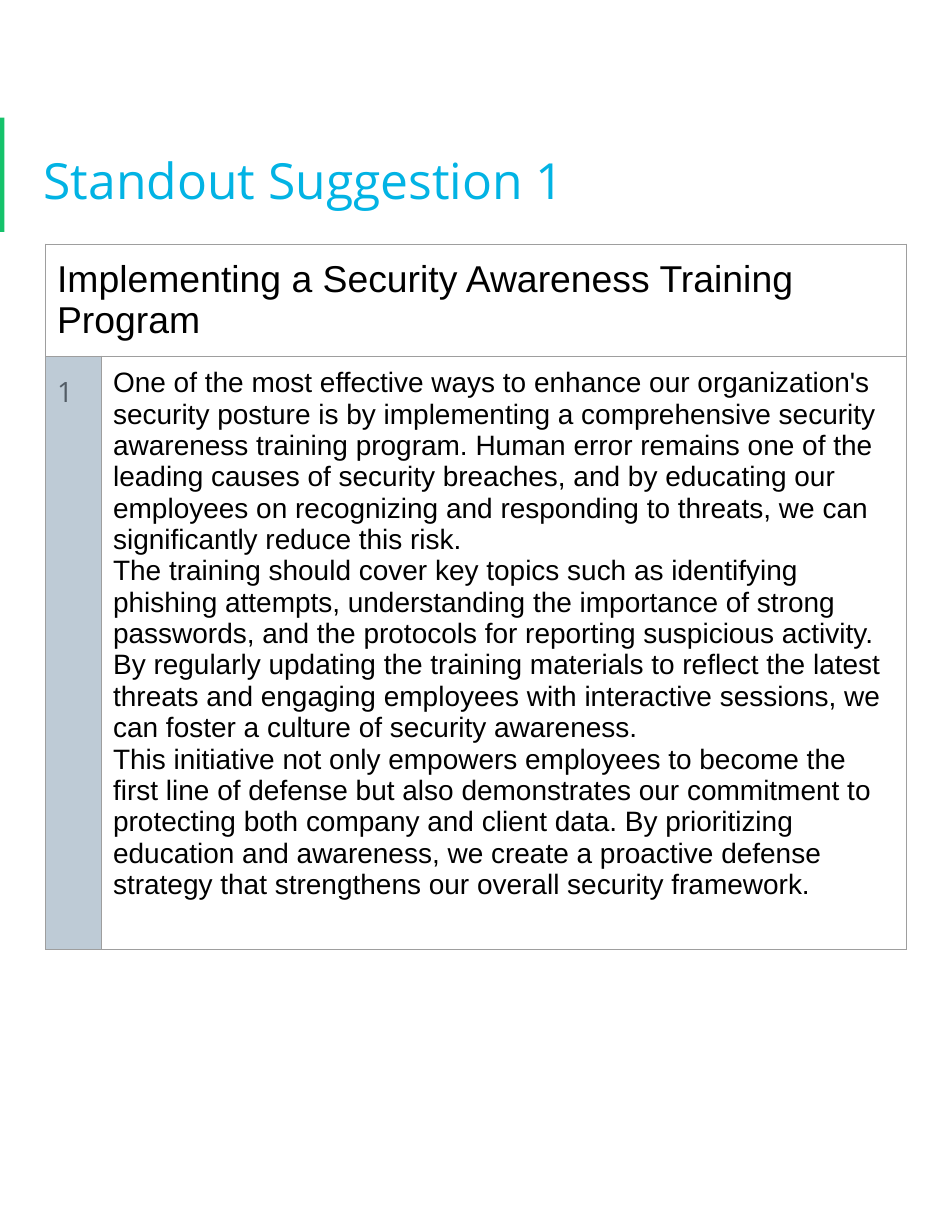
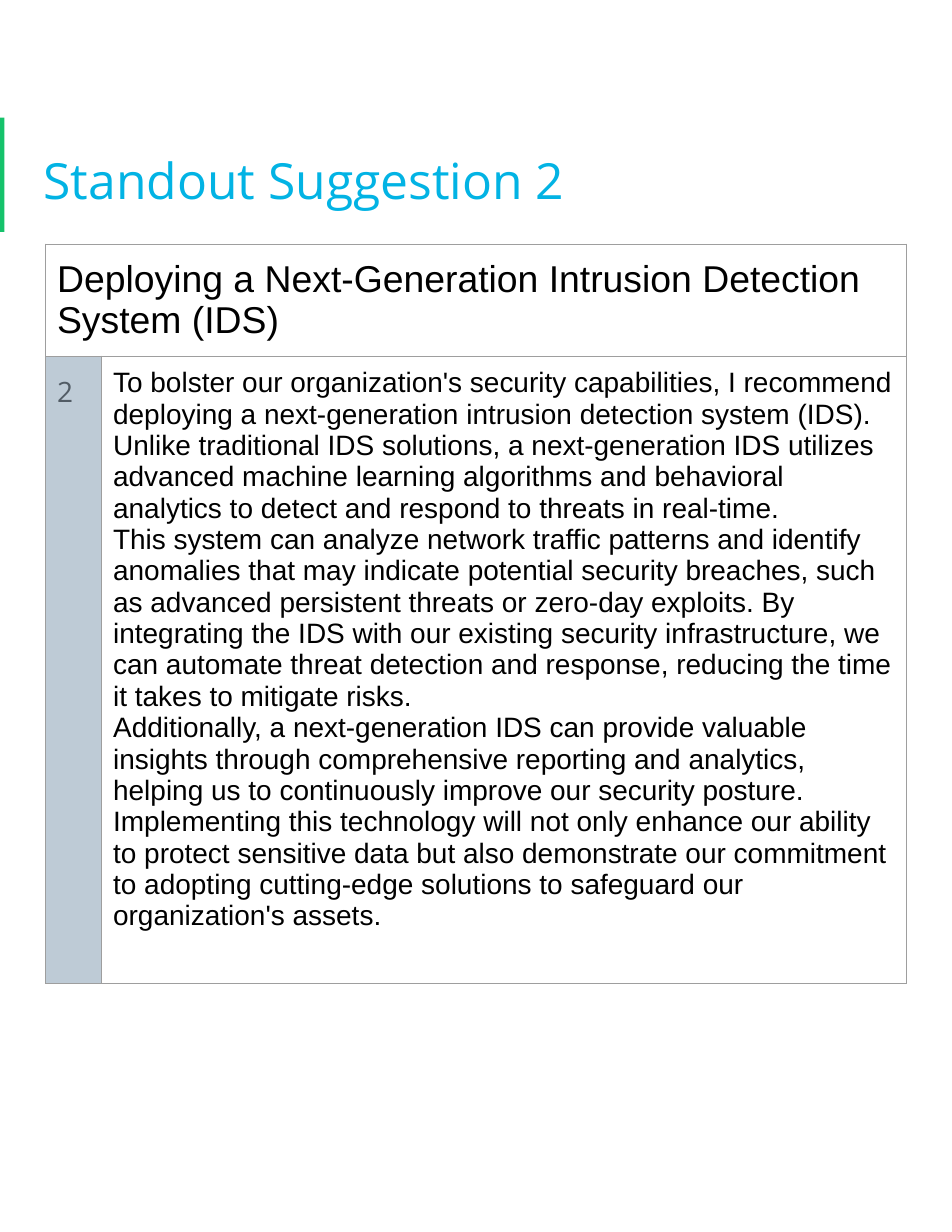
"""Builds two portrait slides, each with one security suggestion in a table."""
import pptx
import pptx.dml.color
import pptx.enum.shapes
import pptx.enum.text
import pptx.oxml
import pptx.oxml.ns
import pptx.util

Inches = pptx.util.Inches
Anchor = pptx.enum.text.MSO_ANCHOR

COLORS = {
    "accent": "15C26B",
    "title": "02B3E4",
    "number": "525C65",
    "number_fill": "BECBD6",
    "border": "9E9E9E",
    "text": "000000",
}

SUGGESTIONS = [
    {
        "heading": "Implementing a Security Awareness Training Program",
        "height": 5.19,
        "body": [
            "One of the most effective ways to enhance our organization's security posture is by "
            "implementing a comprehensive security awareness training program. Human error remains "
            "one of the leading causes of security breaches, and by educating our employees on "
            "recognizing and responding to threats, we can significantly reduce this risk.",
            "The training should cover key topics such as identifying phishing attempts, "
            "understanding the importance of strong passwords, and the protocols for reporting "
            "suspicious activity. By regularly updating the training materials to reflect the "
            "latest threats and engaging employees with interactive sessions, we can foster a "
            "culture of security awareness.",
            "This initiative not only empowers employees to become the first line of defense but "
            "also demonstrates our commitment to protecting both company and client data. By "
            "prioritizing education and awareness, we create a proactive defense strategy that "
            "strengthens our overall security framework.",
        ],
    },
    {
        "heading": "Deploying a Next-Generation Intrusion Detection System (IDS)",
        "height": 5.47,
        "body": [
            "To bolster our organization's security capabilities, I recommend deploying a "
            "next-generation intrusion detection system (IDS). Unlike traditional IDS solutions, a "
            "next-generation IDS utilizes advanced machine learning algorithms and behavioral "
            "analytics to detect and respond to threats in real-time.",
            "This system can analyze network traffic patterns and identify anomalies that may "
            "indicate potential security breaches, such as advanced persistent threats or zero-day "
            "exploits. By integrating the IDS with our existing security infrastructure, we can "
            "automate threat detection and response, reducing the time it takes to mitigate risks.",
            "Additionally, a next-generation IDS can provide valuable insights through "
            "comprehensive reporting and analytics, helping us to continuously improve our "
            "security posture. Implementing this technology will not only enhance our ability to "
            "protect sensitive data but also demonstrate our commitment to adopting cutting-edge "
            "solutions to safeguard our organization's assets.",
        ],
    },
]


def rgb(name):
    return pptx.dml.color.RGBColor.from_string(COLORS[name])


class SuggestionDeck:
    def __init__(self):
        self.presentation = pptx.Presentation()
        self.presentation.slide_width = Inches(8.5)
        self.presentation.slide_height = Inches(11)
        self.slide = None

    def add_slide(self):
        self.slide = self.presentation.slides.add_slide(self.presentation.slide_layouts[6])
        self.add_accent_bar()

    def add_accent_bar(self):
        bar = self.slide.shapes.add_shape(
            pptx.enum.shapes.MSO_SHAPE.RECTANGLE, 0, Inches(1.05), Inches(0.04), Inches(1.02))
        bar.shadow.inherit = False
        bar.fill.solid()
        bar.fill.fore_color.rgb = rgb("accent")
        bar.line.fill.background()

    def set_margins(self, holder):
        holder.margin_left = holder.margin_right = Inches(0.1)
        holder.margin_top = holder.margin_bottom = Inches(0.1)

    def set_text(self, text_frame, text, size, font, color, spacing=None):
        text_frame.text = text
        for paragraph in text_frame.paragraphs:
            paragraph.line_spacing = spacing
            for run in paragraph.runs:
                run.font.size = pptx.util.Pt(size)
                run.font.name = font
                run.font.bold = False
                run.font.color.rgb = rgb(color)

    def add_title(self, text):
        box = self.slide.shapes.add_textbox(Inches(0.29), Inches(0.95), Inches(7.92), Inches(1.22))
        text_frame = box.text_frame
        text_frame.word_wrap = True
        text_frame.vertical_anchor = Anchor.MIDDLE
        self.set_margins(text_frame)
        self.set_text(text_frame, text, 32, "Open Sans", "title", 1.15)

    def style_cell(self, cell, fill=None, anchor=Anchor.TOP):
        self.set_margins(cell)
        cell.vertical_anchor = anchor
        properties = cell._tc.get_or_add_tcPr()
        for side in "LRTB":
            properties.append(pptx.oxml.parse_xml(
                f'<a:ln{side} {pptx.oxml.ns.nsdecls("a")} w="9525"><a:solidFill>'
                f'<a:srgbClr val="{COLORS["border"]}"/></a:solidFill></a:ln{side}>'))
        if fill:
            cell.fill.solid()
            cell.fill.fore_color.rgb = rgb(fill)
        else:
            cell.fill.background()

    def add_suggestion_table(self, number, heading, body, height):
        widths, heights = (0.5, 7.18), (0.95, height)
        table = self.slide.shapes.add_table(
            2, 2, Inches(0.41), Inches(2.18), Inches(sum(widths)), Inches(sum(heights))).table
        table.first_row = table.horz_banding = False
        for column, width in zip(table.columns, widths):
            column.width = Inches(width)
        for row, row_height in zip(table.rows, heights):
            row.height = Inches(row_height)
        heading_cell, number_cell, body_cell = table.cell(0, 0), table.cell(1, 0), table.cell(1, 1)
        heading_cell.merge(table.cell(0, 1))
        self.style_cell(heading_cell, anchor=Anchor.MIDDLE)
        self.style_cell(table.cell(0, 1))
        self.style_cell(number_cell, "number_fill")
        self.style_cell(body_cell)
        self.set_text(heading_cell.text_frame, heading, 24, "Arial", "text")
        self.set_text(number_cell.text_frame, str(number), 18, "Open Sans", "number", 1.15)
        self.set_text(body_cell.text_frame, "\n".join(body), 18, "Arial", "text")


def main():
    deck = SuggestionDeck()
    for number, suggestion in enumerate(SUGGESTIONS, 1):
        deck.add_slide()
        deck.add_title(f"Standout Suggestion {number}")
        deck.add_suggestion_table(number, **suggestion)
    deck.presentation.save("out.pptx")


if __name__ == "__main__":
    main()
